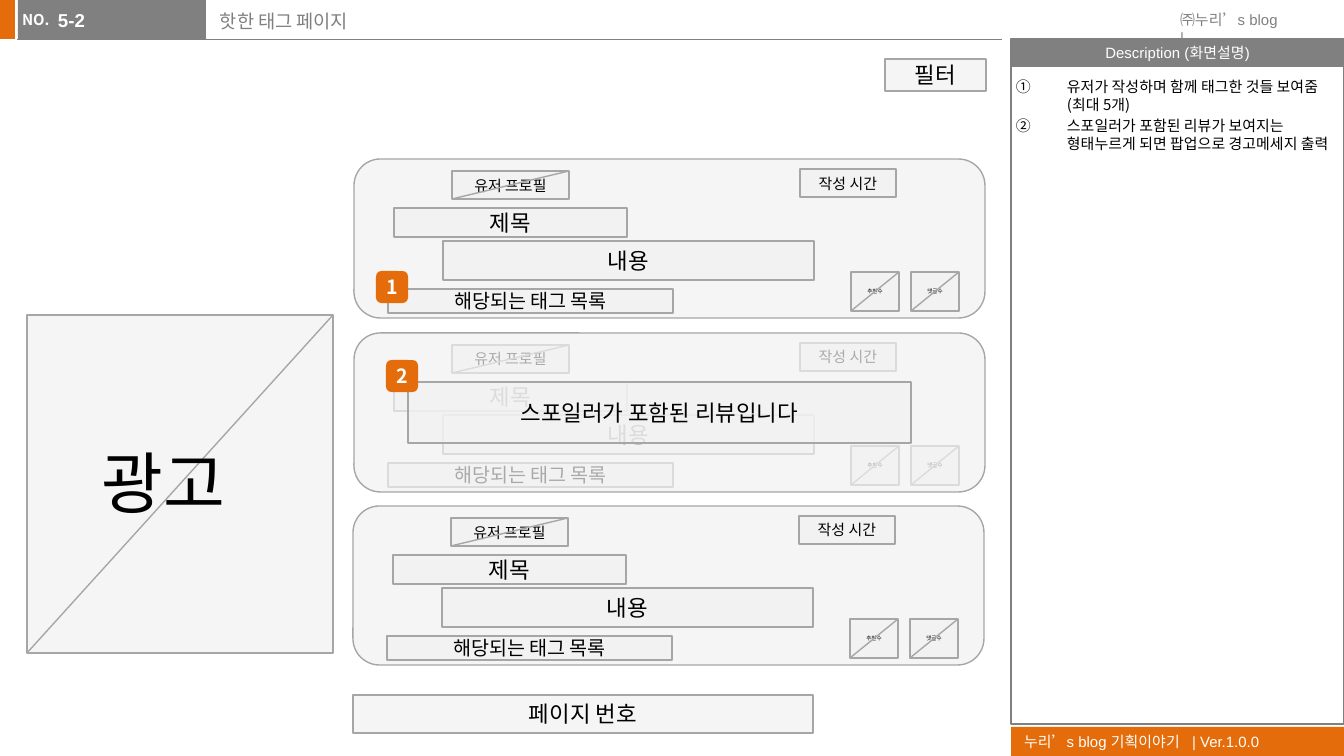
from lxml.etree import SubElement
from pptx import Presentation
from pptx.dml.color import RGBColor
from pptx.enum.shapes import MSO_CONNECTOR, MSO_SHAPE as Shape
from pptx.enum.text import MSO_ANCHOR as Anchor, PP_ALIGN as Align
from pptx.oxml.ns import qn
from pptx.util import Emu, Pt

ORANGE = RGBColor(0xE4, 0x6C, 0x0A)
GRAY = RGBColor(0x80, 0x80, 0x80)
BORDER = RGBColor(0xA6, 0xA6, 0xA6)
PALE = RGBColor(0xF2, 0xF2, 0xF2)
WHITE = RGBColor(0xFF, 0xFF, 0xFF)
BLACK = RGBColor(0, 0, 0)
KOREAN = "Noto Sans CJK KR"
LATIN = "Arial"
PX = 914400 / 134.4

deck = Presentation()
deck.slide_width, deck.slide_height = Emu(9144000), Emu(round(756 * PX))
page = deck.slides.add_slide(deck.slide_layouts[6])


def add_box(kind, rect, text="", size=12, font=KOREAN, color=BLACK, fill=PALE, border=BORDER,
            align=Align.CENTER, anchor=Anchor.MIDDLE, side=13, bold=False, wrap=True):
    """Add a preset shape, or a text box when kind is None, with its text styled."""
    place = [Emu(round(value * PX)) for value in rect]
    if kind is None:
        box = page.shapes.add_textbox(*place)
    else:
        box = page.shapes.add_shape(kind, *place)
        box.shadow.inherit = False
        if fill is None:
            box.fill.background()
        else:
            box.fill.solid()
            box.fill.fore_color.rgb = fill
        if fill == PALE:
            tint = box.fill._xPr.find(qn("a:solidFill"))[0]
            SubElement(tint, qn("a:alpha"), val="70000")
        if border is None:
            box.line.fill.background()
        else:
            box.line.color.rgb = border
            box.line.width = Pt(0.75)
    if not text:
        return box
    frame = box.text_frame
    frame.text = text
    frame.word_wrap = wrap
    frame.vertical_anchor = anchor
    frame.margin_left = frame.margin_right = Emu(round(side * PX))
    frame.margin_top = frame.margin_bottom = Emu(45720)
    for para in frame.paragraphs:
        para.alignment = align
        for span in para.runs:
            span.font.size = Pt(size)
            span.font.name = font
            span.font.bold = bold
            span.font.color.rgb = color
            SubElement(span.font._element, qn("a:ea"), typeface=KOREAN)
    return box


def add_line(x1, y1, x2, y2, color=BORDER, width=0.75):
    """Add a straight line without a shadow."""
    ends = [Emu(round(value * PX)) for value in (x1, y1, x2, y2)]
    line = page.shapes.add_connector(MSO_CONNECTOR.STRAIGHT, *ends)
    line.line.color.rgb = color
    line.line.width = Pt(width)
    SubElement(line._element.spPr, qn("a:effectLst"))


# Header, footer and description frame
add_box(Shape.RECTANGLE, (-1, 0, 16, 39), fill=ORANGE, border=None)
footer = add_box(Shape.RECTANGLE, (1011, 727, 333, 29), "누리’s blog 기획이야기\t| Ver.1.0.0", 8, LATIN,
                 WHITE, ORANGE, None, Align.LEFT)
tabs = SubElement(footer.text_frame.paragraphs[0]._p.get_or_add_pPr(), qn("a:tabLst"))
SubElement(tabs, qn("a:tab"), pos=str(round(168 * PX)), algn="l")
add_line(17, 39, 1002, 39, GRAY, 0.5)
add_box(Shape.RECTANGLE, (18, 0, 188, 39), fill=GRAY, border=None)
add_box(None, (9, 4, 55, 32), "NO.", 8, color=WHITE, align=Align.LEFT, anchor=Anchor.TOP,
        bold=True, wrap=False)
add_box(None, (1167, 4, 128, 32), "㈜누리’s blog |", 8, LATIN, GRAY, align=Align.LEFT,
        anchor=Anchor.TOP, wrap=False)
add_box(Shape.RECTANGLE, (1011, 39, 333, 28), "Description (화면설명)", 8, LATIN, WHITE, GRAY, None,
        wrap=False)
add_box(Shape.RECTANGLE, (1011, 39, 333, 685), fill=None, border=GRAY)
add_box(None, (207, 3, 794, 43), "핫한 태그 페이지", 10, color=GRAY, align=Align.LEFT,
        anchor=Anchor.TOP)
add_box(None, (58, 2, 148, 42), "5-2", 10, LATIN, WHITE, align=Align.LEFT, anchor=Anchor.TOP,
        side=0, bold=True)

notes = add_box(None, (1011, 71, 333, 656),
                "유저가 작성하며 함께 태그한 것들 보여줌 (최대 5개)\n"
                "스포일러가 포함된 리뷰가 보여지는 형태누르게 되면 팝업으로 경고메세지 출력",
                8, align=Align.LEFT, anchor=Anchor.TOP, side=5)
notes.text_frame.margin_right = 0
indent = round(51 * PX)
for para in notes.text_frame.paragraphs:
    para.space_before = Pt(1.6)
    layout = para._p.get_or_add_pPr()
    layout.set("marL", str(indent))
    layout.set("indent", str(-indent))
    SubElement(layout, qn("a:buFont"), typeface=KOREAN)
    SubElement(layout, qn("a:buAutoNum"), type="circleNumDbPlain")

# Advertisement, page numbers and filter
add_box(Shape.RECTANGLE, (27, 315, 306, 338))
add_line(333, 315, 27, 653)
add_box(None, (58, 435, 211, 95), "광고", 36, anchor=Anchor.TOP)
add_box(Shape.RECTANGLE, (353, 695, 460, 38), "페이지 번호")
add_box(Shape.RECTANGLE, (885, 59, 101, 32), "필터")

# Review cards: parts are placed from the card's corner
CARD_PARTS = [
    ((98, 12, 117, 28), "유저 프로필", 8, True),
    ((446, 10, 96, 28), "작성 시간", 8, False),
    ((40, 49, 233, 29), "제목", 12, False),
    ((89, 82, 371, 39), "내용", 12, False),
    ((497, 113, 48, 39), "추천수", 3, True),
    ((557, 113, 48, 39), "댓글수", 3, True),
    ((34, 130, 285, 24), "해당되는 태그 목록", 10.5, False),
]
for card_x, card_y, covered in [(354, 159, False), (354, 333, True), (353, 506, False)]:
    panel = (card_x, card_y, 631, 159)
    if not covered:
        add_box(Shape.ROUNDED_RECTANGLE, panel)
    for (dx, dy, width, height), label, size, crossed in CARD_PARTS:
        x, y = card_x + dx, card_y + dy
        add_box(Shape.RECTANGLE, (x, y, width, height), label, size)
        if crossed:
            add_line(x + width, y, x, y + height)
    if covered:
        add_box(Shape.ROUNDED_RECTANGLE, panel)

# Spoiler notice and numbered markers
add_box(Shape.RECTANGLE, (408, 382, 503, 61), "스포일러가 포함된 리뷰입니다")
for number, x, y in [("1", 376, 271), ("2", 386, 360)]:
    badge = add_box(Shape.ROUNDED_RECTANGLE, (x, y, 32, 32), number, 10.5, color=WHITE,
                    fill=ORANGE, border=None, side=0, bold=True)
    badge.adjustments[0] = 0.17

deck.save("out.pptx")
